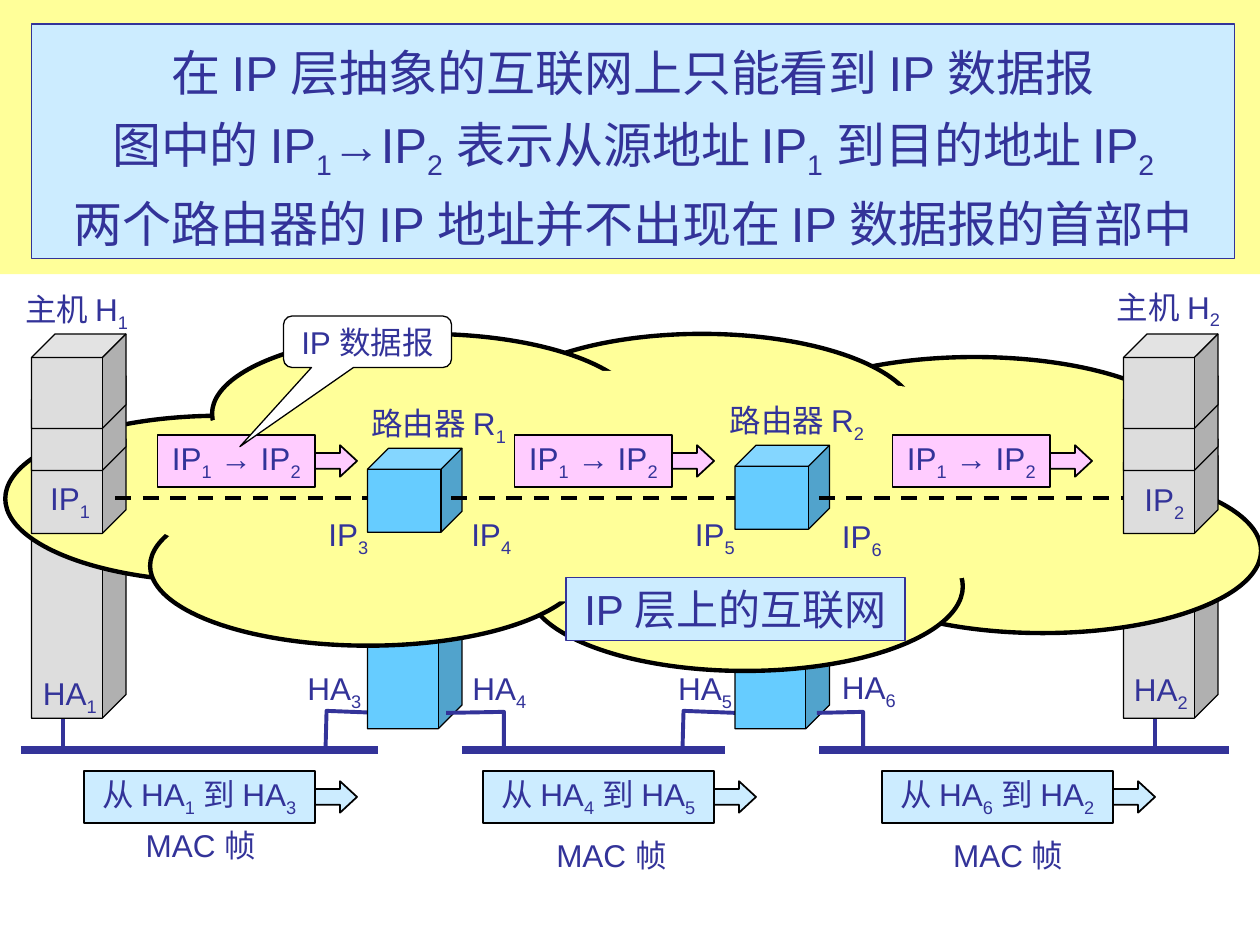
from pptx import Presentation
from pptx.dml.color import RGBColor as RGB
from pptx.enum.dml import MSO_LINE as Dash
from pptx.enum.shapes import MSO_SHAPE as Kind, MSO_CONNECTOR as Conn
from pptx.enum.text import MSO_ANCHOR as Anchor, PP_ALIGN as Align, MSO_AUTO_SIZE as Auto
from pptx.oxml.ns import qn
from pptx.util import Inches, Pt
from lxml import etree

HEX = {"ink": "333399", "black": "000000", "white": "FFFFFF", "gray": "DDDDDD",
       "blue": "66CCFF", "pale": "CCECFF", "cream": "FFFF99", "pink": "FFCCFF"}
HUE = {name: RGB.from_string(code) for name, code in HEX.items()}

# Grid of 120 columns by 90 rows
deck = Presentation()
deck.slide_width, deck.slide_height = Inches(10), Inches(7.5)
CELL = deck.slide_width / 120
page = deck.slides.add_slide(deck.slide_layouts[6])
draw = page.shapes


def put(kind, box, fill=None, edge=None, width=0.75, text="", size=18, space=1.0):
    """Add a shape, or a text box if kind is None; '|' splits runs, '_' is subscript, '*' bold."""
    place = [round(v * CELL) for v in box]
    if kind is None:
        item = draw.add_textbox(*place)
    else:
        item = draw.add_shape(kind, *place)
        item.shadow.inherit = False
        item.fill.solid()
        item.fill.fore_color.rgb = HUE[fill]
        if edge:
            item.line.color.rgb, item.line.width = HUE[edge], Pt(width)
        else:
            item.line.fill.background()
    if not text:
        return item
    frame = item.text_frame
    look = {"word_wrap": kind is None, "auto_size": Auto.NONE,
            "vertical_anchor": Anchor.MIDDLE if kind else Anchor.TOP}
    for key, val in look.items():
        setattr(frame, key, val)
    for i, row in enumerate(text.split("\n")):
        para = frame.add_paragraph() if i else frame.paragraphs[0]
        para.alignment = Align.CENTER if kind else Align.LEFT
        para.line_spacing = space
        for part in row.split("|"):
            run = para.add_run()
            run.text = part.lstrip("_*")
            style = {"name": "Arial", "size": Pt(size), "bold": part[0] == "*"}
            for key, val in style.items():
                setattr(run.font, key, val)
            run.font.color.rgb = HUE["ink"]
            if part[0] == "_":
                run.font._element.set("baseline", "-25000")
    return item


def wire(pts, hue="ink", width=2.25, dash=None):
    """Draw a straight connector for two points, an open outline for more."""
    pts = [(round(x * CELL), round(y * CELL)) for x, y in pts]
    if len(pts) == 2:
        item = draw.add_connector(Conn.STRAIGHT, *pts[0], *pts[1])
        etree.SubElement(item._element.spPr, qn("a:effectLst"))
    else:
        pen = draw.build_freeform(*pts[0])
        pen.add_line_segments(pts[1:], close=False)
        item = pen.convert_to_shape()
        item.shadow.inherit = False
        item.fill.background()
    item.line.color.rgb, item.line.width = HUE[hue], Pt(width)
    if dash:
        item.line.dash_style = dash


HOSTS, NODES = (3, 107), (35, 70)
BUS = 71.4

# Links that run behind the machines
for col in (31, 65):
    wire([(col, BUS), (col + 0.1, 67.7), (col + 5.2, 67.9)])
for col in HOSTS:
    wire([(col + 3, BUS), (col + 3, 64.4)])

# Tall machine bodies
for col in HOSTS:
    put(Kind.CUBE, (col, 43.4, 9, 25), "gray", "black")
for col, top in zip(NODES, (44.4, 47.4)):
    put(Kind.CUBE, (col, top, 9, 69.4 - top), "blue", "black")

# Cloud: outlined lobes under a plain core
for lobe in [(78.5, 44.6, 41.6, 15.7), (0.5, 39.6, 40.9, 15.8), (72, 34, 41.6, 15.2),
             (50.2, 47.8, 41.5, 16.1), (14.3, 46.3, 41.5, 15.2),
             (46.4, 31.8, 40.9, 15.8), (20.2, 31.8, 40.8, 15.2)]:
    put(Kind.OVAL, lobe, "cream", "black", 2.5)
put(Kind.OVAL, (11.4, 35.3, 99.2, 22.1), "cream")

# Networks, host layers and router tops
for left, right in [(2, 36), (44, 69), (78, 117)]:
    wire([(left, BUS), (right, BUS)], width=4.5)
for col in HOSTS:
    for top in (41.8, 35.8, 31.8):
        put(Kind.CUBE, (col, top, 9, 9), "gray", "black")
for col, top in zip(NODES, (42.7, 42.4)):
    put(Kind.CUBE, (col, top, 9, 8), "blue", "black")

# Dashed path through the IP layer, and links on the routers' right
for left, right in [(11, 35), (43, 70), (78, 107)]:
    wire([(left, 47.4), (right, 47.4)], "black", 2.25, Dash.DASH)
for col, end in [(48, 42.5), (82.2, 77.8)]:
    wire([(col, BUS), (col, 67.8), (end, 67.9)])

# Labels: wording, width, then number, column and row of each
for word, wide, spots in [
    ("IP", 8, [(1, 3.6, 45), (2, 107.8, 45.1), (3, 30.1, 48.5),
               (4, 43.7, 48.5), (5, 65, 48.5), (6, 79, 48.7)]),
    ("HA", 9, [(1, 2.9, 63.6), (2, 106.8, 63.2), (3, 28.1, 63.1),
               (4, 43.8, 63.1), (5, 63.4, 63.1), (6, 79, 63)]),
    ("主机 H", 14.5, [(1, 1.2, 27), (2, 105.2, 26.8)]),
    ("路由器 R", 18, [(1, 34.2, 37.9), (2, 68.3, 37.6)]),
]:
    for num, col, row in spots:
        put(None, (col, row, wide, 5.3), text=f"{word}|_{num}")
for col, row in [(12.7, 78.1), (51.8, 79), (89.6, 79)]:
    put(None, (col, row, 15, 4.8), text="MAC 帧")
put(Kind.RECTANGLE, (53.9, 55, 32.3, 6), "pale", "ink", text="IP 层上的互联网", size=24)

# Datagrams above and frames below, each with its arrow
packs = [(col, 41.4, 15, "pink", "IP|_1| → IP|_2") for col in (15, 49, 85)]
packs += [(col, 73.4, 22, "pale", f"从 HA|_{src}| 到 HA|_{dst}")
          for col, src, dst in [(8, 1, 3), (46, 4, 5), (84, 6, 2)]]
for col, row, wide, fill, text in packs:
    put(Kind.RECTANGLE, (col, row, wide, 5), fill, "black", 1, text)
    arrow = put(Kind.RIGHT_ARROW, (col + wide, row + 1, 4, 3), fill, "black", 1)
    arrow.adjustments[1] = 0.54

# Callout
note = put(Kind.ROUNDED_RECTANGULAR_CALLOUT, (27, 30.1, 16, 4.9), "white", "black",
           text="IP 数据报")
note.adjustments[0], note.adjustments[1] = -0.76, 2.04

# Header
put(Kind.RECTANGLE, (0, 0, 120, 26.1), "cream")
put(Kind.RECTANGLE, (3, 2.3, 114.6, 22.3), "pale", "ink", size=28, space=1.2,
    text="在 IP 层抽象的互联网上只能看到 IP 数据报\n"
         "图中的 IP|_1|*→|IP|_2| 表示从源地址 IP|_1| 到目的地址 IP|_2\n"
         "两个路由器的 IP 地址并不出现在 IP 数据报的首部中")

deck.save("out.pptx")
